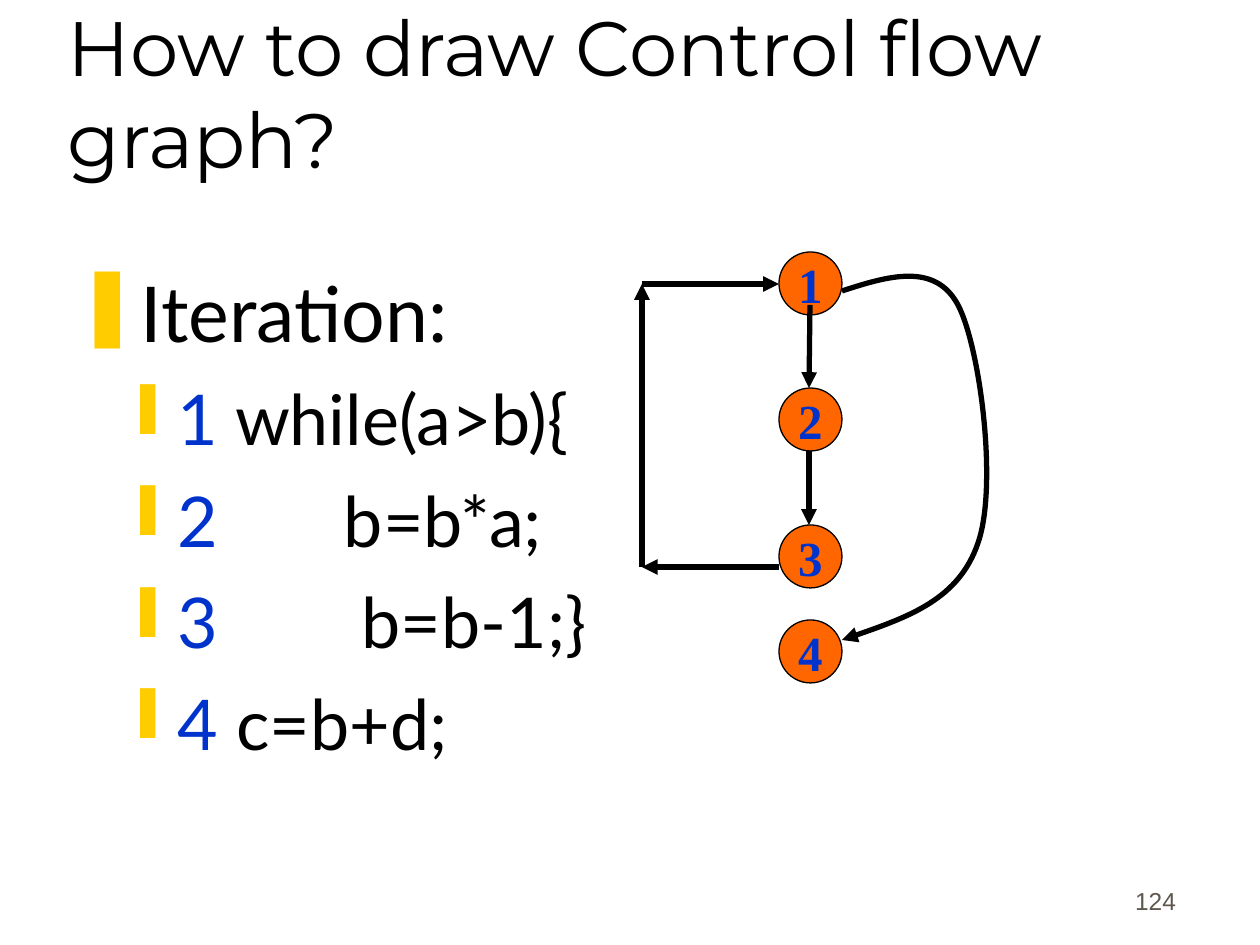
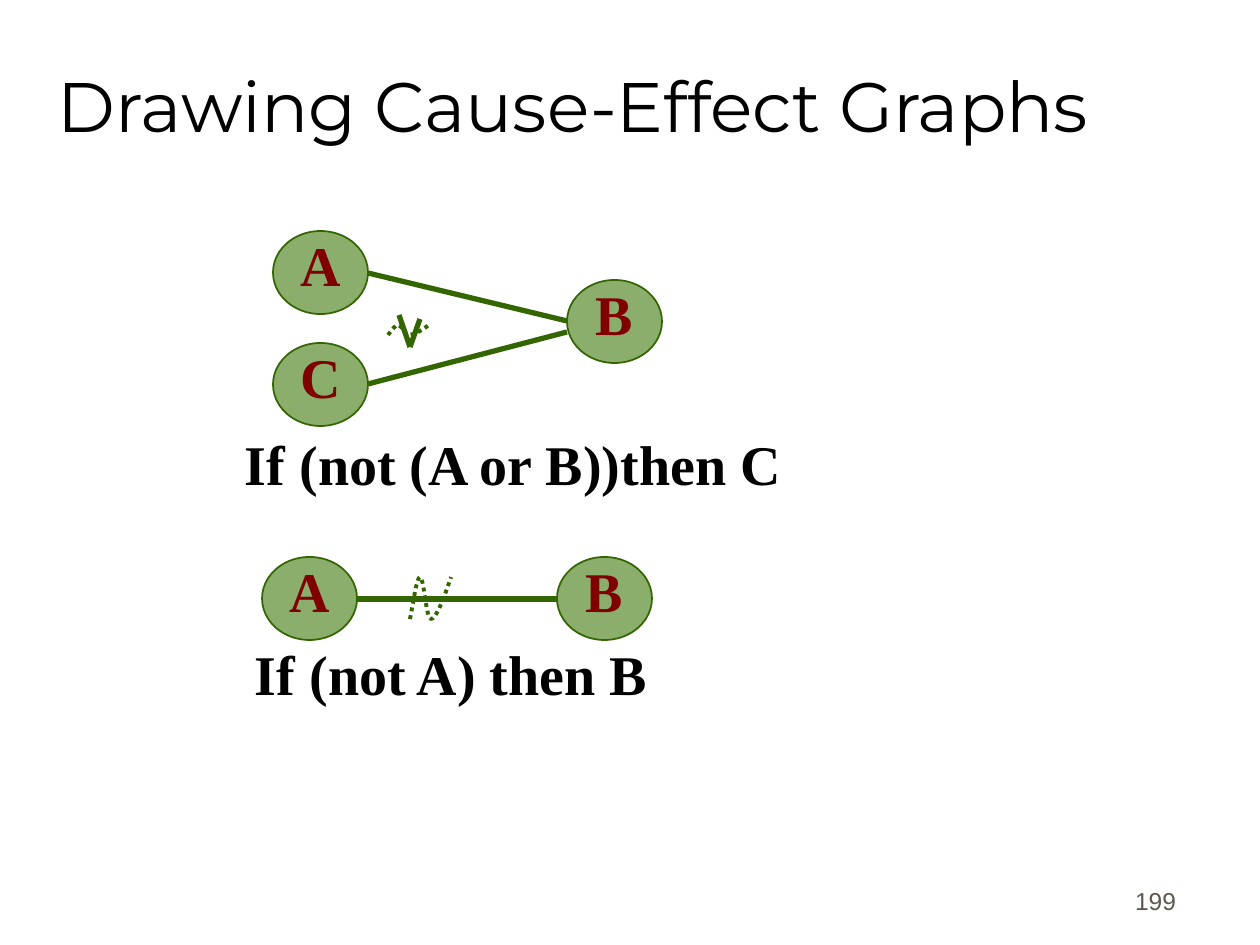
from lxml import etree
from pptx import Presentation
from pptx import util as u
from pptx.dml.color import RGBColor
from pptx.enum import dml, shapes, text
from pptx.oxml.ns import qn

COLORS = {
    "black": "000000", "grey": "5E574E", "yellow": "FFCC00", "blue": "0033CC",
    "orange": "FF6600", "sage": "8BAE6C", "green": "336600", "maroon": "800000",
}
SERIF = "Times New Roman"
NARROW = (3, 6)
WIDE = (13, 6)


def px(n):
    """Turn pixels (126 to the inch) into EMU."""
    return u.Emu(round(n * 914400 / 126))


def rgb(name):
    """Look up a named colour."""
    return RGBColor.from_string(COLORS[name])


def style_run(r, font, size, color, bold=False):
    """Format one run."""
    r.font.name, r.font.size, r.font.bold = font, u.Pt(size), bold
    r.font.color.rgb = rgb(color)


def set_frame(tf, anchor, insets, wrap=True):
    """Set the anchor, insets and wrapping of a text frame."""
    tf.word_wrap, tf.vertical_anchor = wrap, anchor
    tf.margin_left = tf.margin_right = px(insets[0])
    tf.margin_top = tf.margin_bottom = px(insets[1])


def style_line(s, color, width, arrow=False, dash=None):
    """Set the outline of a shape or connector, with an optional arrowhead."""
    s.line.color.rgb, s.line.width = rgb(color), u.Pt(width)
    if dash:
        s.line.dash_style = dash
    if arrow:
        ln = s._element.spPr.find(qn("a:ln"))
        etree.SubElement(ln, qn("a:tailEnd"), type="triangle")


def add_text(s, box, words, font, size, color, bold=False, insets=WIDE,
             anchor=text.MSO_ANCHOR.TOP, align=text.PP_ALIGN.LEFT, spacing=None):
    """Add a text box with one formatted paragraph."""
    tf = s.shapes.add_textbox(*map(px, box)).text_frame
    set_frame(tf, anchor, insets)
    tf.text = words
    p = tf.paragraphs[0]
    p.alignment, p.line_spacing = align, spacing
    style_run(p.runs[0], font, size, color, bold)


def add_slide(prs, title, number, top, size, insets, anchor):
    """Add a blank slide with its title and slide number."""
    s = prs.slides.add_slide(prs.slide_layouts[6])
    add_text(s, (927, 858, 262, 63), number, "Arial", 14, "grey",
             anchor=text.MSO_ANCHOR.BOTTOM, align=text.PP_ALIGN.RIGHT)
    add_text(s, (55, top, 1071, 158), title, "Montserrat", size, "black",
             insets=insets, anchor=anchor)
    return s


def add_node(s, box, label, fill, line, width, size, color, insets, wrap, spacing=None):
    """Add a labelled ellipse."""
    sp = s.shapes.add_shape(shapes.MSO_SHAPE.OVAL, *map(px, box))
    sp.shadow.inherit = False
    sp.fill.solid()
    sp.fill.fore_color.rgb = rgb(fill)
    style_line(sp, line, width)
    tf = sp.text_frame
    set_frame(tf, text.MSO_ANCHOR.MIDDLE, insets, wrap)
    tf.text = label
    p = tf.paragraphs[0]
    p.alignment, p.line_spacing = text.PP_ALIGN.CENTER, spacing
    style_run(p.runs[0], SERIF, size, color, True)


def add_flow_node(s, top, label):
    """Add a numbered node of the control flow graph."""
    add_node(s, (779, top, 63, 63), label, "orange", "black", 0.75, 28, "blue", WIDE, False)


def add_cause_node(s, left, top, label):
    """Add a lettered node of a cause-effect graph."""
    add_node(s, (left, top, 95, 83), label, "sage", "green", 1, 32, "maroon", NARROW, True, 0.72)


def add_line(s, start, end, color, arrow=False):
    """Add a straight connector."""
    c = s.shapes.add_connector(shapes.MSO_CONNECTOR.STRAIGHT, *map(px, start + end))
    style_line(c, color, 3, arrow)
    etree.SubElement(c._element.spPr, qn("a:effectLst"))


def add_curve(s, points, color, width, arrow=False, dash=None):
    """Add an open curve: a start point, then three Bezier points per segment."""
    fb = s.shapes.build_freeform(*points[0], scale=914400 / 126)
    fb.add_line_segments(points[1:], close=False)
    sp = fb.convert_to_shape()
    sp.shadow.inherit = False
    sp.fill.background()
    style_line(sp, color, width, arrow, dash)
    outline = next(sp._element.iter(qn("a:path")))
    steps = outline.findall(qn("a:lnTo"))
    for i in range(0, len(steps), 3):
        bezier = etree.SubElement(outline, qn("a:cubicBezTo"))
        for step in steps[i:i + 3]:
            bezier.append(step[0])
            outline.remove(step)


def add_bullet(p, char, indent, hanging):
    """Give a paragraph a yellow bullet and a hanging indent."""
    pPr = p._p.get_or_add_pPr()
    pPr.set("marL", str(px(indent)))
    pPr.set("indent", str(-px(hanging)))
    clr = etree.SubElement(pPr, qn("a:buClr"))
    etree.SubElement(clr, qn("a:srgbClr"), val=COLORS["yellow"])
    etree.SubElement(pPr, qn("a:buChar"), char=char)


def add_code_list(s, box, heading, lines):
    """Add a bulleted heading with numbered code lines below it."""
    tf = s.shapes.add_textbox(*map(px, box)).text_frame
    set_frame(tf, text.MSO_ANCHOR.TOP, WIDE)
    tf.text = heading
    p = tf.paragraphs[0]
    add_bullet(p, "❚", 47, 47)
    style_run(p.runs[0], "Lato", 44, "black")
    for number, code in enumerate(lines, 1):
        p = tf.add_paragraph()
        p.level = 1
        add_bullet(p, "❙", 102, 39)
        p.space_before = u.Pt(10)
        for words, color in ((str(number), "blue"), (code, "black")):
            r = p.add_run()
            r.text = words
            style_run(r, "Lato", 40, color)


def add_caption(s, box, words):
    """Add the rule written below a cause-effect graph."""
    add_text(s, box, words, SERIF, 32, "black", True, NARROW, spacing=0.72)


def build_control_flow(prs):
    """Build the control flow graph slide."""
    s = add_slide(prs, "How to draw Control flow graph?", "124", 32, 44, WIDE,
                  text.MSO_ANCHOR.BOTTOM)
    add_code_list(s, (63, 260, 1126, 575), "Iteration:",
                  (" while(a>b){", "       b=b*a;", "        b=b-1;}", " c=b+d;"))
    for label, top in zip("1234", (252, 388, 525, 620)):
        add_flow_node(s, top, label)
    add_line(s, (810, 305), (809, 388), "black", True)
    add_line(s, (809, 451), (809, 525), "black", True)
    loop = ((779, 567), (642, 567), (642, 284), (779, 284))
    for start, end in zip(loop, loop[1:]):
        add_line(s, start, end, "black", True)
    add_curve(s, ((842, 291), (888, 276), (935, 262), (958, 305),
                  (980, 347), (998, 486), (978, 543),
                  (959, 599), (901, 620), (842, 640)), "black", 3, arrow=True)


def build_cause_effect(prs):
    """Build the cause-effect graphs slide."""
    s = add_slide(prs, "Drawing Cause-Effect Graphs", "199", 25, 40, NARROW,
                  text.MSO_ANCHOR.MIDDLE)
    for left, top, label in ((273, 231, "A"), (567, 280, "B"), (273, 343, "C"),
                             (262, 557, "A"), (557, 557, "B")):
        add_cause_node(s, left, top, label)
    for start, end in (((368, 273), (567, 321)), ((368, 384), (567, 332)),
                       ((410, 347), (399, 315)), ((410, 347), (420, 319)),
                       ((357, 599), (557, 599))):
        add_line(s, start, end, "green")
    add_caption(s, (242, 441, 609, 79), "If (not (A or B))then C")
    add_caption(s, (252, 651, 461, 79), "If (not A) then B")
    for low, mid, high in ((335, 330, 325), (619, 598, 577)):
        left = 388 if low == 335 else 410
        wave = ((0, low), (4, mid), (7, high), (10, high), (14, high), (16, low),
                (21, low), (26, low), (34, mid), (41, high))
        add_curve(s, [(left + x, y) for x, y in wave], "green", 2.25,
                  dash=dml.MSO_LINE.ROUND_DOT)


def main():
    """Build both slides and save them."""
    prs = Presentation()
    prs.slide_width, prs.slide_height = px(1260), px(945)
    build_control_flow(prs)
    build_cause_effect(prs)
    prs.save("out.pptx")


if __name__ == "__main__":
    main()
